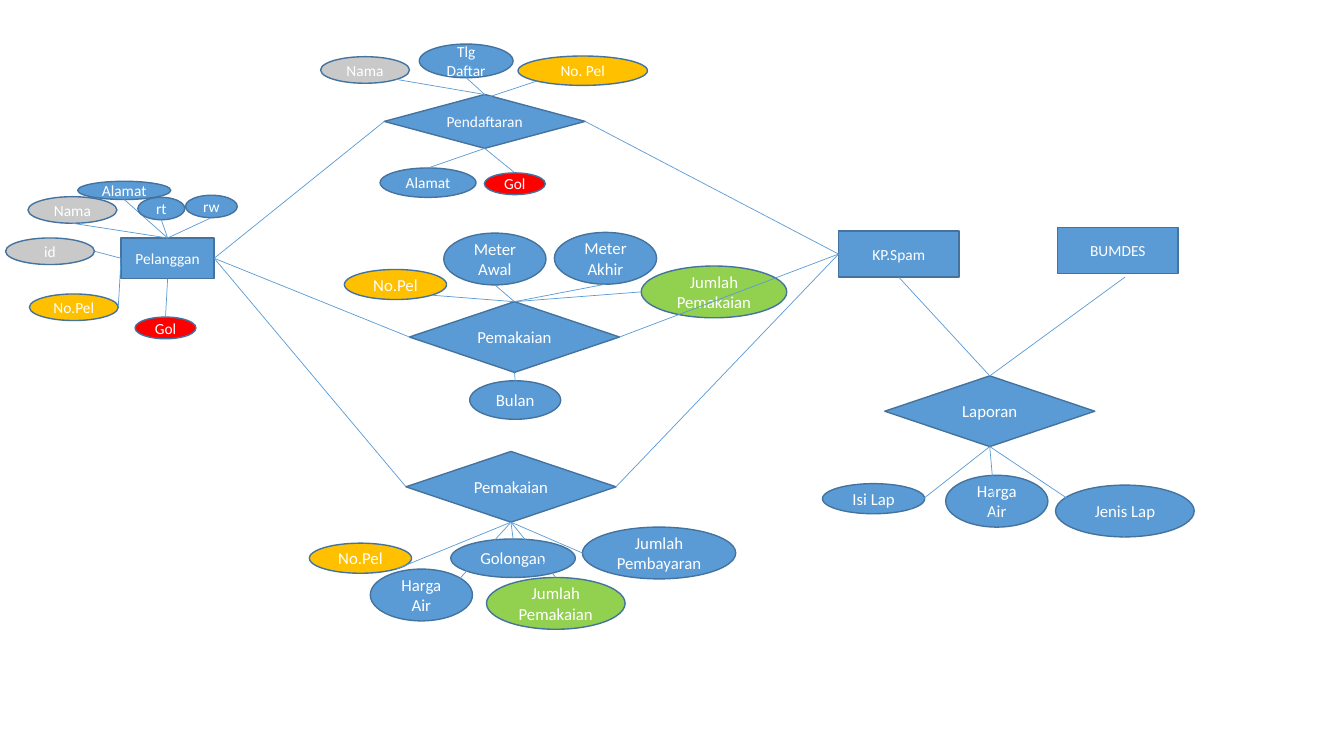
from lxml import etree
from pptx import Presentation
from pptx import util as u
from pptx.dml.color import RGBColor
from pptx.enum import shapes, text
from pptx.oxml.ns import qn

BLUE = RGBColor(0x5B, 0x9B, 0xD5)
EDGE = RGBColor(0x43, 0x73, 0x9E)
GOLD = RGBColor(0xFF, 0xC0, 0x00)
GREY = RGBColor(0xC9, 0xC9, 0xC9)
GREEN = RGBColor(0x92, 0xD0, 0x50)
RED = RGBColor(0xFF, 0x00, 0x00)
WHITE = RGBColor(0xFF, 0xFF, 0xFF)

TOP, LEFT, BOTTOM, RIGHT = range(4)
ANCHOR = {
    "top": (0.5, 0), "left": (0, 0.5), "bottom": (0.5, 1), "right": (1, 0.5),
    "low left": (0.146, 0.854), "low right": (0.854, 0.854),
}

BOX = (86, 33)
DIAMOND = (150, 50.5)
SMALL = (63.5, 19)
FLAT = (73, 21.5)
TALL = (73, 37)
WIDE = (99, 37)
TINY = (43.5, 15.5)


class Diagram:
    frame = {"vertical_anchor": text.MSO_ANCHOR.MIDDLE}
    font = {"name": "Calibri"}

    def __init__(self, slide):
        self.slide = slide

    def apply(self, target, values):
        for name, value in values.items():
            setattr(target, name, value)

    def node(self, kind, label, at, size, fill=BLUE, pt=12):
        sp = self.slide.shapes.add_shape(kind, *map(u.Pt, at + size))
        sp.shadow.inherit = False
        sp.fill.solid()
        sp.fill.fore_color.rgb = fill
        sp.line.color.rgb = EDGE
        sp.line.width = u.Pt(1)
        tf = sp.text_frame
        self.apply(tf, {**self.frame, "word_wrap": " " in label})
        p = tf.paragraphs[0]
        p.alignment = text.PP_ALIGN.CENTER
        r = p.add_run()
        r.text = label
        self.apply(r.font, {**self.font, "size": u.Pt(pt)})
        r.font.color.rgb = WHITE
        return sp

    def entity(self, label, at, size=BOX):
        return self.node(shapes.MSO_SHAPE.RECTANGLE, label, at, size, pt=11)

    def relation(self, label, at, size=DIAMOND, pt=12):
        return self.node(shapes.MSO_SHAPE.DIAMOND, label, at, size, pt=pt)

    def line(self, start, end):
        points = [v if isinstance(v, tuple) else (0, 0) for v in (start[0], end[0])]
        cx = self.slide.shapes.add_connector(
            shapes.MSO_CONNECTOR.STRAIGHT, *map(u.Pt, points[0] + points[1]))
        cx.line.color.rgb = BLUE
        cx.line.width = u.Pt(0.5)
        etree.SubElement(cx._element.spPr, qn("a:effectLst"))
        for (sp, site), join in ((start, cx.begin_connect), (end, cx.end_connect)):
            if not isinstance(sp, tuple):
                join(sp, site)

    def attributes(self, hub, pt, items):
        for label, at, size, fill, anchor, site in items:
            self.node(shapes.MSO_SHAPE.OVAL, label, at, size, fill, pt)
        for label, at, size, fill, anchor, site in items:
            point = tuple(a + s * f for a, s, f in zip(at, size, ANCHOR[anchor]))
            end = (site, None) if isinstance(site, tuple) else (hub, site)
            self.line((point, None), end)


def main():
    prs = Presentation()
    prs.slide_width, prs.slide_height = u.Pt(960), u.Pt(540)
    d = Diagram(prs.slides.add_slide(prs.slide_layouts[6]))

    usage = d.relation("Pemakaian", (292.5, 215.5))
    customer = d.entity("Pelanggan", (86.5, 170), (66.5, 29))
    office = d.entity("KP.Spam", (599, 165))
    signup = d.relation("Pendaftaran", (274.5, 67.5), (143.5, 38.5), 11)
    payment = d.relation("Pemakaian", (290, 322.5))
    report = d.relation("Laporan", (632, 268.5))
    d.entity("BUMDES", (755.5, 162.5))

    d.attributes(customer, 11, [
        ("No.Pel", (21, 210), SMALL, GOLD, "right", LEFT),
        ("Nama", (20, 140.5), SMALL, GREY, "bottom", TOP),
        ("Alamat", (55.5, 129.5), (66.5, 13), BLUE, "bottom", TOP),
        ("Gol", (96.5, 226.5), TINY, RED, "top", BOTTOM),
        ("id", (4, 170), SMALL, GREY, "right", LEFT),
    ])
    d.attributes(customer, 11, [
        ("rt", (98.5, 141), (33.5, 16), BLUE, "bottom", TOP),
        ("rw", (132.5, 139.5), (37, 16), BLUE, "bottom", TOP),
    ])
    d.attributes(usage, 12, [
        ("No.Pel", (246, 192.5), FLAT, GOLD, "low right", TOP),
        ("Meter Awal", (317, 166.5), TALL, BLUE, "bottom", TOP),
        ("Meter Akhir", (396, 166), TALL, BLUE, "bottom", TOP),
        ("Jumlah Pemakaian", (458, 190), (104, 37), GREEN, "left", TOP),
        ("Bulan", (335.5, 272), (65, 27.5), BLUE, "top", BOTTOM),
    ])
    d.attributes(signup, 11, [
        ("Tlg Daftar", (299.5, 31.5), (67, 24), BLUE, "bottom", TOP),
        ("Gol", (346, 123.5), TINY, RED, "top", BOTTOM),
        ("No. Pel", (370, 40), (92.5, 21), GOLD, "low left", (348.5, 69.5)),
        ("Alamat", (271.5, 120), (68.5, 21), BLUE, "top", BOTTOM),
        ("Nama", (229, 40.5), SMALL, GREY, "low right", TOP),
    ])
    d.attributes(payment, 12, [
        ("No.Pel", (221, 388), FLAT, GOLD, "low right", BOTTOM),
        ("Harga Air", (264.5, 406.5), TALL, BLUE, "bottom", BOTTOM),
        ("Jumlah Pemakaian", (347.5, 412.5), WIDE, GREEN, "top", BOTTOM),
        ("Jumlah Pembayaran", (416, 376.5), (109.5, 37), BLUE, "left", BOTTOM),
        ("Golongan", (322, 385), (89, 27.5), BLUE, "top", BOTTOM),
    ])
    d.attributes(report, 12, [
        ("Isi Lap", (587.5, 345.5), FLAT, BLUE, "low right", BOTTOM),
        ("Harga Air", (675.5, 339.5), TALL, BLUE, "bottom", BOTTOM),
        ("Jenis Lap", (754, 346.5), WIDE, BLUE, "bottom", BOTTOM),
    ])

    for link in (signup, usage, payment):
        d.line((customer, RIGHT), (link, LEFT))
        d.line((link, RIGHT), (office, LEFT))
    d.line((office, BOTTOM), (report, TOP))
    d.line((report, TOP), ((803.5, 198), None))

    prs.save("out.pptx")


if __name__ == "__main__":
    main()
